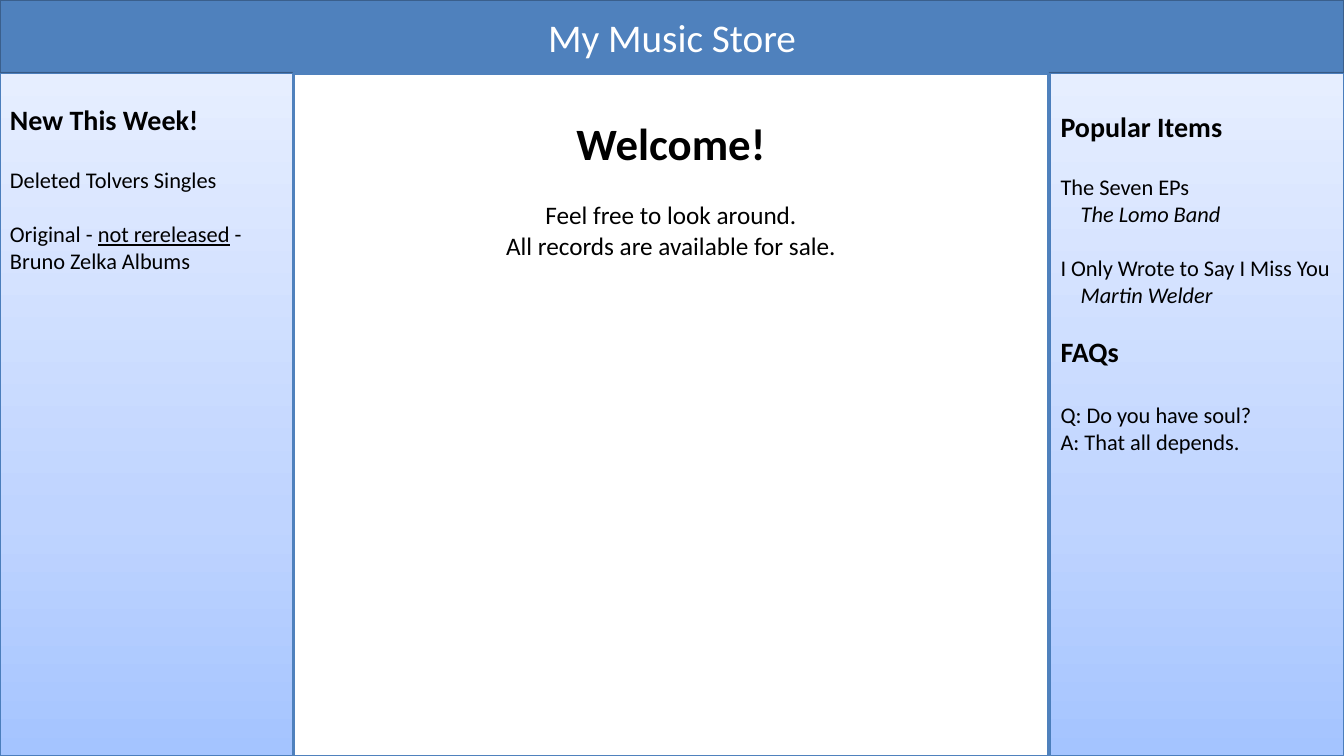
"""Build the home page of a music store as a header with three panels."""
from copy import deepcopy
from dataclasses import dataclass

from lxml import etree
from pptx import Presentation
from pptx import util as u
from pptx.dml.color import RGBColor
from pptx.enum import shapes, text
from pptx.oxml import ns


@dataclass(frozen=True)
class Theme:
    font: str = "Calibri"
    ink: str = "000000"
    paper: str = "FFFFFF"
    brand: str = "4F81BD"
    header_edge: str = "3A5F8C"
    sidebar_edge: str = "4B7EBC"
    gradient: tuple = ((0, "A4C4FF"), (0.35, "BFD4FF"), (1, "E6EEFF"))
    title: int = 28
    welcome: int = 32
    heading: int = 20
    greeting: int = 18
    body: int = 16
    thick: float = 2
    thin: float = 0.75


@dataclass(frozen=True)
class Run:
    words: str
    bold: bool = False
    italic: bool = False
    underline: bool = False


@dataclass(frozen=True)
class Line:
    runs: tuple
    size: int
    before: float = 0
    indent: float = 0


@dataclass(frozen=True)
class Panel:
    left: float
    width: float
    top_inset: float
    lines: tuple
    sidebar: bool = True


THEME = Theme()
WIDTH, HEIGHT, HEADER, SIDEBAR = 13.33, 7.5, 0.73, 2.91
HEADING_GAP, ITEM_GAP, FAQ_GAP = 21.4, 19.2, 23.6


def heading(words: str, before: float = 0, size: int = THEME.heading) -> Line:
    return Line((Run(words, bold=True),), size, before)


def item(*runs: Run, before: float = 0, size: int = THEME.body) -> Line:
    return Line(runs, size, before)


def artist(name: str) -> Line:
    return Line((Run(name, italic=True),), THEME.body, indent=0.2)


NEW_THIS_WEEK = (
    heading("New This Week!"),
    item(Run("Deleted Tolvers Singles"), before=HEADING_GAP),
    item(Run("Original - "), Run("not rereleased", underline=True),
         Run(" - Bruno Zelka Albums"), before=ITEM_GAP),
)
POPULAR_AND_FAQS = (
    heading("Popular Items"),
    item(Run("The Seven EPs"), before=HEADING_GAP),
    artist("The Lomo Band"),
    item(Run("I Only Wrote to Say I Miss You"), before=ITEM_GAP),
    artist("Martin Welder"),
    heading("FAQs", before=ITEM_GAP),
    item(Run("Q: Do you have soul?"), before=FAQ_GAP),
    item(Run("A: That all depends.")),
)
WELCOME = (
    heading("Welcome!", size=THEME.welcome),
    item(Run("Feel free to look around."), before=HEADING_GAP, size=THEME.greeting),
    item(Run("All records are available for sale."), size=THEME.greeting),
)
PANELS = (
    Panel(0, SIDEBAR, 0.29, NEW_THIS_WEEK),
    Panel(WIDTH - SIDEBAR, SIDEBAR, 0.36, POPULAR_AND_FAQS),
    Panel(SIDEBAR, 7.49, 0.42, WELCOME, sidebar=False),
)


def write(paragraph, words: str, *, size: int, color: str = THEME.ink, bold: bool = False,
          italic: bool = False, underline: bool = False) -> None:
    run = paragraph.add_run()
    run.text = words
    font = run.font
    font.name, font.size = THEME.font, u.Pt(size)
    font.bold, font.italic, font.underline = bold, italic, underline
    font.color.rgb = RGBColor.from_string(color)


def paint(shape, fill: str, edge: str, weight: float) -> None:
    shape.fill.solid()
    shape.fill.fore_color.rgb = RGBColor.from_string(fill)
    outline(shape, edge, weight)


def outline(shape, edge: str, weight: float) -> None:
    shape.line.color.rgb = RGBColor.from_string(edge)
    shape.line.width = u.Pt(weight)


def paint_sidebar(shape) -> None:
    shape.fill.gradient()
    shape.fill.gradient_angle = 90
    properties = shape._element.spPr
    stops = properties.find(".//" + ns.qn("a:gsLst"))
    stops.append(deepcopy(stops[0]))
    for stop, (position, color) in zip(shape.fill.gradient_stops, THEME.gradient):
        stop.position = position
        stop.color.rgb = RGBColor.from_string(color)
    outline(shape, THEME.sidebar_edge, THEME.thin)
    effects = properties.find(ns.qn("a:effectLst"))
    shadow = etree.SubElement(effects, ns.qn("a:outerShdw"), blurRad=str(u.Pt(3.1)),
                              dist=str(u.Pt(1.6)), dir="5400000", rotWithShape="0")
    tint = etree.SubElement(shadow, ns.qn("a:srgbClr"), val=THEME.ink)
    etree.SubElement(tint, ns.qn("a:alpha"), val="38000")


def draw_header(title) -> None:
    title.left, title.top = u.Inches(0), u.Inches(0)
    title.width, title.height = u.Inches(WIDTH), u.Inches(HEADER)
    paint(title, THEME.brand, THEME.header_edge, THEME.thick)
    frame = title.text_frame
    frame.auto_size = text.MSO_AUTO_SIZE.NONE
    frame.vertical_anchor = text.MSO_ANCHOR.MIDDLE
    frame.paragraphs[0].alignment = text.PP_ALIGN.CENTER
    write(frame.paragraphs[0], "My Music Store", size=THEME.title, color=THEME.paper)


def draw_panel(slide, panel: Panel) -> None:
    box = slide.shapes.add_shape(shapes.MSO_SHAPE.RECTANGLE, u.Inches(panel.left),
                                 u.Inches(HEADER), u.Inches(panel.width),
                                 u.Inches(HEIGHT - HEADER))
    box.shadow.inherit = False
    if panel.sidebar:
        paint_sidebar(box)
    else:
        paint(box, THEME.paper, THEME.brand, THEME.thick)
    frame = box.text_frame
    frame.word_wrap = True
    frame.vertical_anchor = text.MSO_ANCHOR.TOP
    frame.margin_top = u.Inches(panel.top_inset)
    for number, line in enumerate(panel.lines):
        paragraph = frame.add_paragraph() if number else frame.paragraphs[0]
        paragraph.alignment = text.PP_ALIGN.LEFT if panel.sidebar else text.PP_ALIGN.CENTER
        paragraph.space_before = u.Pt(line.before)
        paragraph._p.get_or_add_pPr().set("marL", str(u.Inches(line.indent)))
        for run in line.runs:
            write(paragraph, run.words, size=line.size, bold=run.bold,
                  italic=run.italic, underline=run.underline)


def main() -> None:
    deck = Presentation()
    deck.slide_width, deck.slide_height = u.Inches(WIDTH), u.Inches(HEIGHT)
    slide = deck.slides.add_slide(deck.slide_layouts.get_by_name("Title Only"))
    draw_header(slide.shapes.title)
    for panel in PANELS:
        draw_panel(slide, panel)
    deck.save("out.pptx")


main()
